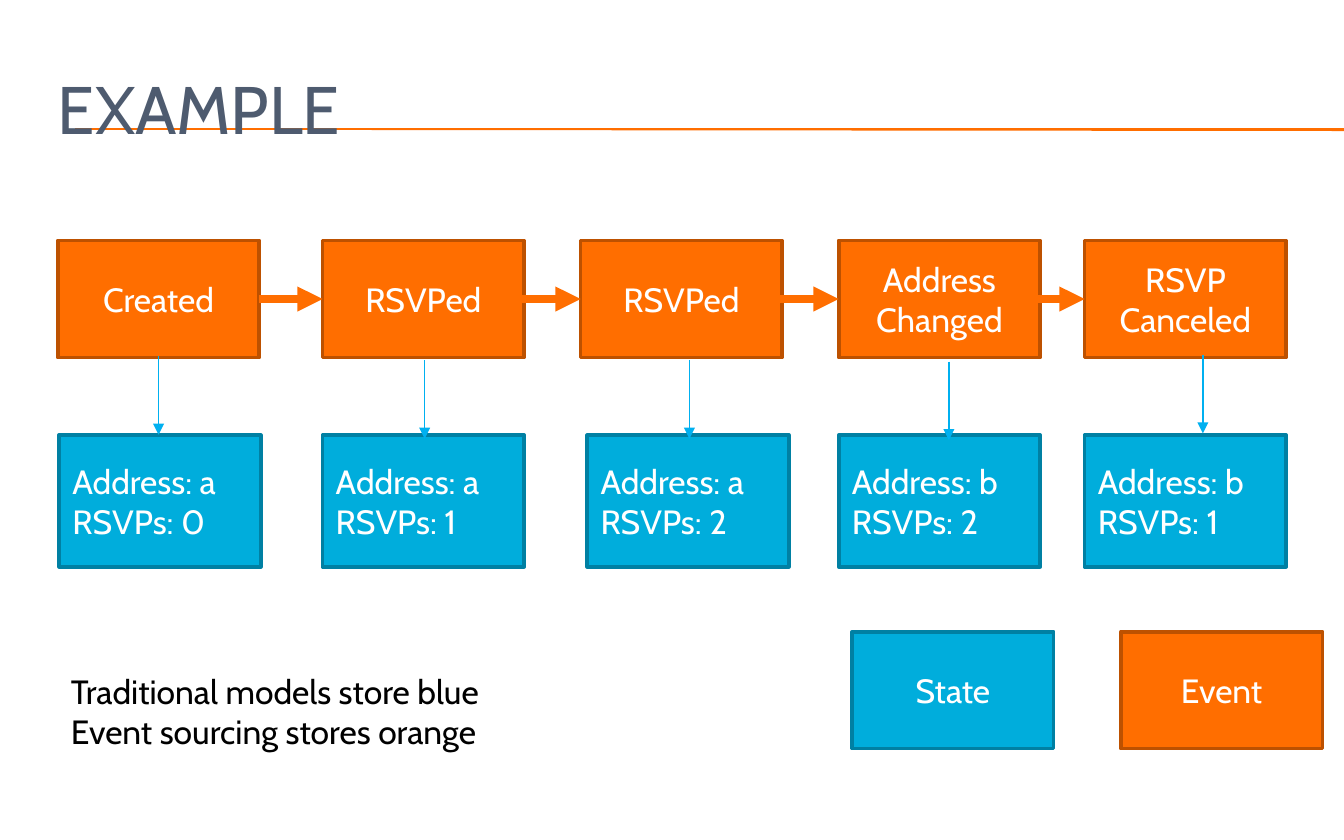
import pptx
import pptx.util
import pptx.dml.color
import pptx.enum.shapes
import pptx.enum.text
import pptx.oxml.ns
import lxml.etree

COLORS = {
    "event": "FF6E00", "event_edge": "BD5100",
    "state": "00ADDC", "state_edge": "0080A3",
    "link": "00B0F0", "title": "4E5B6F", "light": "FFFFFF", "dark": "000000",
}
FONT = "Cabin"
WIDTH, HEIGHT = pptx.util.Inches(10), pptx.util.Inches(6.25)
COLUMN, ROW = WIDTH / 100, HEIGHT / 100
CARD_WIDTH, EVENT_HEIGHT, STATE_HEIGHT = 15, 13.92, 15.68
ALIGN = pptx.enum.text.PP_ALIGN
ANCHOR = pptx.enum.text.MSO_ANCHOR
STAGES = [
    {"event": ["Created"], "left": 4.3, "state_left": 4.4,
     "state": ["Address: a", "RSVPs: 0"], "link": (11.8, 42.4)},
    {"event": ["RSVPed"], "left": 24, "state_left": 24,
     "state": ["Address: a", "RSVPs: 1"], "link": (31.6, 42.88)},
    {"event": ["RSVPed"], "left": 43.2, "state_left": 43.7,
     "state": ["Address: a", "RSVPs: 2"], "link": (51.3, 42.88)},
    {"event": ["Address", "Changed"], "left": 62.4, "state_left": 62.4,
     "state": ["Address: b", "RSVPs: 2"], "link": (70.6, 43.04)},
    {"event": ["RSVP Canceled"], "left": 80.7, "state_left": 80.7,
     "state": ["Address: b", "RSVPs: 1"], "link": (89.5, 42.24)},
]


def color(name):
    """Return the named colour."""
    return pptx.dml.color.RGBColor.from_string(COLORS[name])


def place(left, top, width, height):
    """Turn grid columns and rows into slide lengths."""
    return [round(left * COLUMN), round(top * ROW),
            round(width * COLUMN), round(height * ROW)]


def write(frame, lines, size=18, ink="light", align=ALIGN.LEFT,
          anchor=ANCHOR.MIDDLE, wrap=True):
    """Fill a text frame with one paragraph for each line."""
    frame.word_wrap = wrap
    frame.vertical_anchor = anchor
    for number, line in enumerate(lines):
        para = frame.add_paragraph() if number else frame.paragraphs[0]
        para.alignment = align
        span = para.add_run()
        span.text = line
        span.font.name = FONT
        span.font.size = pptx.util.Pt(size)
        span.font.color.rgb = color(ink)


def add_card(page, box, lines, kind, align=ALIGN.CENTER):
    """Draw an event or state rectangle in the given box."""
    card = page.shapes.add_shape(
        pptx.enum.shapes.MSO_SHAPE.RECTANGLE, *place(*box))
    card.shadow.inherit = False
    card.fill.solid()
    card.fill.fore_color.rgb = color(kind)
    card.line.color.rgb = color(kind + "_edge")
    card.line.width = pptx.util.Pt(2)
    write(card.text_frame, lines, align=align)


def add_line(page, box, ink, weight, arrow=True):
    """Draw a straight line across the box, with an optional arrowhead."""
    left, top, width, height = place(*box)
    line = page.shapes.add_connector(
        pptx.enum.shapes.MSO_CONNECTOR.STRAIGHT,
        left, top, left + width, top + height)
    line.line.color.rgb = color(ink)
    line.line.width = pptx.util.Pt(weight)
    if arrow:
        lxml.etree.SubElement(line.line._get_or_add_ln(),
                              pptx.oxml.ns.qn("a:tailEnd"), type="triangle")
    lxml.etree.SubElement(line.element.spPr, pptx.oxml.ns.qn("a:effectLst"))
    return line


def add_heading(page, box, text):
    """Place the title over its two rules."""
    title = page.shapes.title
    title.left, title.top, title.width, title.height = place(*box)
    write(title.text_frame, [text], size=36, ink="title")
    for drop in (0, 0.16):
        rule = add_line(page, (5.6, 15.36, 94.4, drop), "event", 0.75, arrow=False)
        title.element.addprevious(rule.element)


def add_events(page, top):
    """Draw the row of events and the arrows between them."""
    for stage in STAGES:
        add_card(page, (stage["left"], top, CARD_WIDTH, EVENT_HEIGHT),
                 stage["event"], "event")
    for stage in STAGES[1:]:
        add_line(page, (stage["left"] - 4.7, top + EVENT_HEIGHT / 2, 4.7, 0),
                 "event", 4.5)


def add_states(page, top):
    """Draw the row of states and the arrows that lead to them."""
    for stage in STAGES:
        add_card(page, (stage["state_left"], top, CARD_WIDTH, STATE_HEIGHT),
                 stage["state"], "state", align=ALIGN.LEFT)
    for stage in STAGES:
        add_line(page, (*stage["link"], 0, 9.36), "link", 0.79)


def add_legend(page, left, top):
    """Draw the key of the two card colours."""
    for number, kind in enumerate(("state", "event")):
        add_card(page, (left + 20 * number, top, CARD_WIDTH, EVENT_HEIGHT),
                 [kind.title()], kind)


def add_summary(page, box, lines):
    """Write the closing remark."""
    note = page.shapes.add_textbox(*place(*box))
    write(note.text_frame, lines, ink="dark", anchor=ANCHOR.TOP, wrap=False)


def main():
    """Build and save the deck."""
    deck = pptx.Presentation()
    deck.slide_width, deck.slide_height = WIDTH, HEIGHT
    page = deck.slides.add_slide(deck.slide_layouts.get_by_name("Title Only"))
    add_heading(page, (3.3, 6.72, 95, 12.16), "EXAMPLE")
    add_events(page, 28.64)
    add_legend(page, 63.4, 75.2)
    add_states(page, 51.8)
    add_summary(page, (4.3, 79.04, 34, 11.36),
                ["Traditional models store blue", "Event sourcing stores orange"])
    deck.save("out.pptx")


if __name__ == "__main__":
    main()
